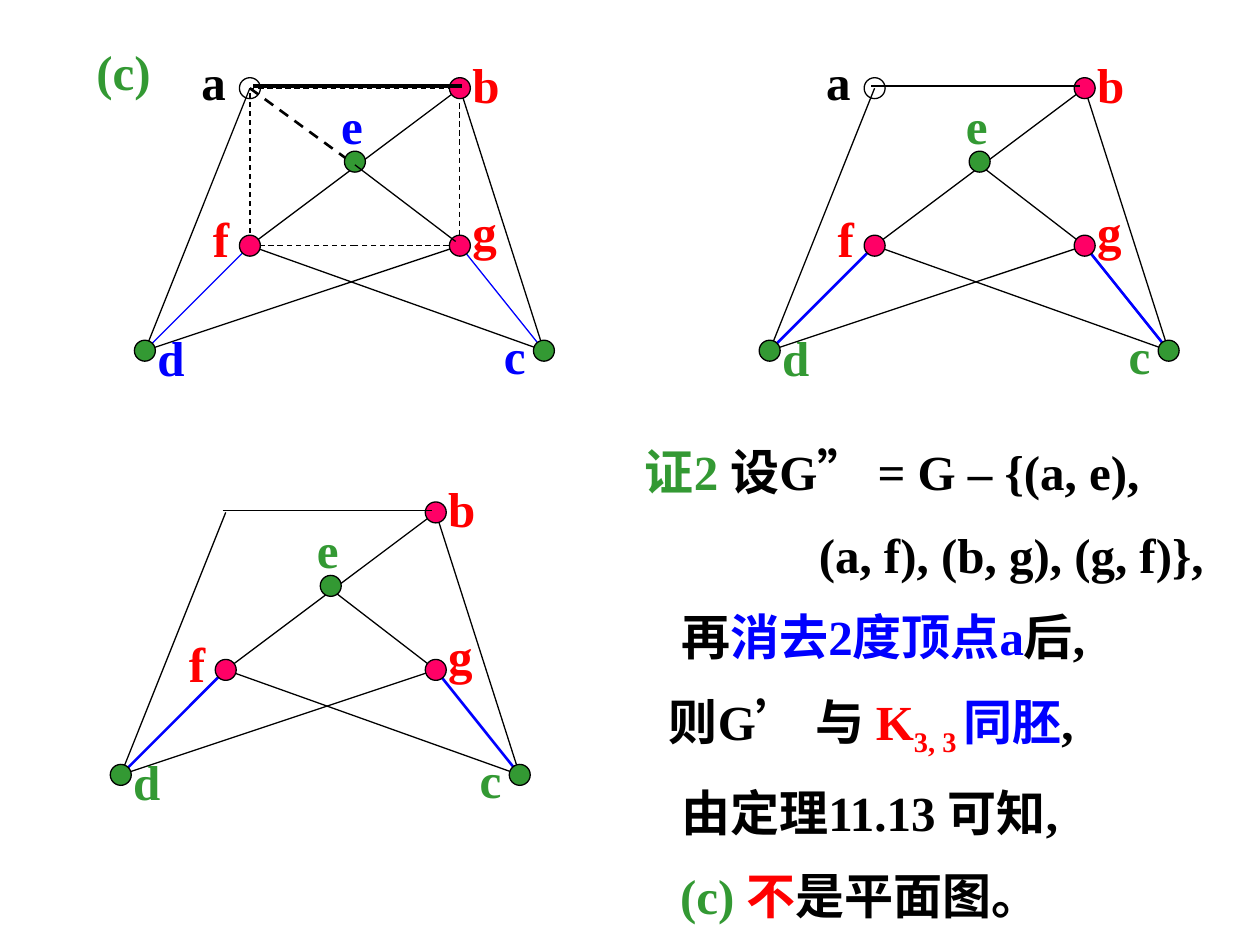
import pptx
import pptx.util
import pptx.dml.color
import pptx.enum.dml
import pptx.enum.lang
import pptx.enum.shapes
import pptx.enum.text
import lxml.etree

RGBColor = pptx.dml.color.RGBColor
BLACK = RGBColor(0, 0, 0)
BLUE = RGBColor(0, 0, 255)
RED = RGBColor(255, 0, 0)
PINK = RGBColor(255, 0, 102)
GREEN = RGBColor(0x33, 0x99, 0x33)
DASH = pptx.enum.dml.MSO_LINE.DASH
SHAPE = pptx.enum.shapes.MSO_SHAPE

deck = pptx.Presentation()
deck.slide_width = pptx.util.Inches(10)
deck.slide_height = pptx.util.Inches(7.5)
page = deck.slides.add_slide(deck.slide_layouts[6])
UNIT = deck.slide_width // 120  # the graphs lie on a grid of 120 columns by 90 rows


def draw_edge(origin, start, end, color=BLACK, width=0.75, dash=None):
    ends = [round((origin[axis] + point[axis]) * UNIT) for point in (start, end) for axis in (0, 1)]
    edge = page.shapes.add_connector(pptx.enum.shapes.MSO_CONNECTOR.STRAIGHT, *ends)
    edge.line.color.rgb = color
    edge.line.width = pptx.util.Pt(width)
    if dash:
        edge.line.dash_style = dash
    lxml.etree.SubElement(edge._element.spPr, pptx.oxml.ns.qn("a:effectLst"))


def style(span, color):
    span.font.name = "Times New Roman"
    span.font.size = pptx.util.Pt(28)
    span.font.bold = True
    span.font.color.rgb = color
    span.font.language_id = pptx.enum.lang.MSO_LANGUAGE_ID.SIMPLIFIED_CHINESE


# Proof: left indent in inches, then spans of text and colour
proof = [
    (0.1, [("证2 ", GREEN), ("设G” = G – {(a, e), ", BLACK)]),
    (1.48, [("(a, f), (b, g), (g, f)}, ", BLACK)]),
    (0.39, [("再", BLACK), ("消去2度顶点a", BLUE), ("后,", BLACK)]),
    (0.29, [("则G’ 与 ", BLACK), ("K", RED), ("3, 3 ", RED), ("同胚", BLUE), (", ", BLACK)]),
    (0.39, [("由定理11.13 可知, ", BLACK)]),
    (0.38, [("(c) ", GREEN), ("不", RED), ("是平面图。", BLACK)]),
]
box = page.shapes.add_textbox(*[pptx.util.Inches(n) for n in (4.92, 3.36, 4.91, 3.86)])
box.text_frame.word_wrap = True
for row, (indent, spans) in enumerate(proof):
    para = box.text_frame.add_paragraph() if row else box.text_frame.paragraphs[0]
    para.alignment = pptx.enum.text.PP_ALIGN.JUSTIFY
    para.line_spacing = 1.2
    para.space_before = pptx.util.Pt(7 if row else 0)
    para._p.get_or_add_pPr().set("marL", str(pptx.util.Inches(indent)))
    for text, color in spans:
        span = para.add_run()
        span.text = text
        style(span, color)
        if text == "3, 3 ":
            span.font._element.set("baseline", "-25000")

# Vertices: centre on the grid and fill
vertices = {
    "a": ((0, 0), None), "b": ((20, 0), PINK), "c": ((28, 25), GREEN), "d": ((-10, 25), GREEN),
    "e": ((10, 7), GREEN), "f": ((0, 15), PINK), "g": ((20, 15), PINK),
}
# Labels: left, top and width on the grid
labels = {
    "a": (-5.8, -4.1, 4.7), "b": (20, -3.8, 4.9), "c": (23, 22, 4.4), "d": (-10, 22.2, 4.9),
    "e": (7.5, 0.1, 4.4), "f": (-4.7, 10.9, 4), "g": (20, 10.2, 4.7),
}
LABEL_HEIGHT = 6.8
E_FOOT = (10, 7.3)
captions = [("(c)", 8, 3.4, 7.6, GREEN)]

# Graphs: origin at vertex a, vertices shown, colour of labels c, d, e, and whether it is the full graph
graphs = [
    ((23.8, 8.4), "abcdefg", BLUE, True),
    ((83.3, 8.4), "abcdefg", GREEN, False),
    ((21.5, 48.8), "bcdefg", GREEN, False),
]
for origin, shown, label_color, full in graphs:
    x, y = origin
    if full:
        square = page.shapes.add_shape(
            SHAPE.RECTANGLE, *[round(n * UNIT) for n in (x, y, 20, 15)])
        square.shadow.inherit = False
        square.fill.background()
        square.line.color.rgb = BLACK
        square.line.width = pptx.util.Pt(0.75)
        square.line.dash_style = DASH
        draw_edge(origin, (0, 0), E_FOOT, width=1.5, dash=DASH)
    else:
        draw_edge(origin, E_FOOT, (20, 15))
    for start, end in ("bf", "bc", "fc", "ad", "gd"):
        draw_edge(origin, vertices[start][0], vertices[end][0])
    for start, end in ("fd", "gc"):
        draw_edge(origin, vertices[start][0], vertices[end][0], BLUE, 0.75 if full else 1.5)

    for name in shown:
        (column, row), fill = vertices[name]
        dot = page.shapes.add_shape(
            SHAPE.OVAL, *[round(n * UNIT) for n in (x + column - 1, y + row - 1, 2, 2)])
        dot.shadow.inherit = False
        if fill:
            dot.fill.solid()
            dot.fill.fore_color.rgb = fill
        else:
            dot.fill.background()
        dot.line.color.rgb = BLACK
        dot.line.width = pptx.util.Pt(0.75)
        left, top, width = labels[name]
        color = BLACK if name == "a" else label_color if name in "cde" else RED
        captions.append((name, x + left, y + top, width, color))

    if full:
        draw_edge(origin, E_FOOT, (19.6, 14.6))
        draw_edge(origin, (0.3, -0.2), (20.2, -0.2), width=2.25)
    else:
        draw_edge(origin, (-0.3, -0.2), (19.6, -0.2))

for text, left, top, width, color in captions:
    box = page.shapes.add_textbox(*[round(n * UNIT) for n in (left, top, width, LABEL_HEIGHT)])
    box.text_frame.text = text
    box.text_frame.word_wrap = False
    box.text_frame.auto_size = pptx.enum.text.MSO_AUTO_SIZE.SHAPE_TO_FIT_TEXT
    style(box.text_frame.paragraphs[0].runs[0], color)

deck.save("out.pptx")
